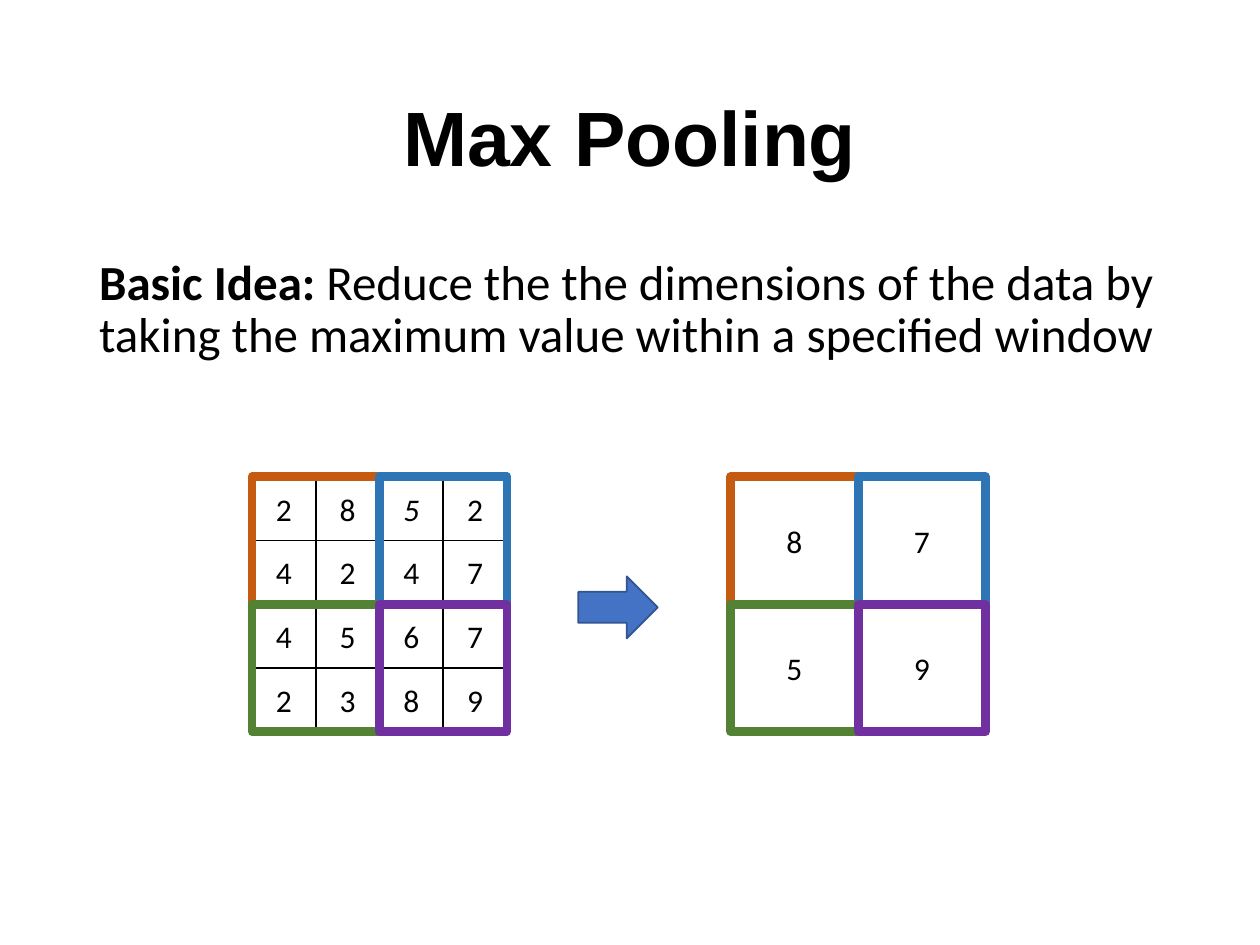
from dataclasses import dataclass

from pptx import Presentation
from pptx.dml.color import RGBColor
from pptx.enum.shapes import MSO_SHAPE as Preset
from pptx.enum.text import MSO_ANCHOR as Anchor, PP_ALIGN as Align
from pptx.util import Cm, Pt


@dataclass(frozen=True)
class Theme:
    """Colours, fonts, type sizes and line widths of the slide."""
    ink: str = "000000"
    arrow_fill: str = "4472C4"
    arrow_line: str = "325491"
    windows: tuple = ("C55A11", "2E75B6", "548235", "7030A0")
    title_font: str = "Arial"
    body_font: str = "Calibri"
    title_size: int = 44
    body_size: int = 28
    cell_size: int = 18
    thin: int = 1
    thick: int = 5


THEME = Theme()


def format_run(run, font, size, bold=False, italic=False):
    """Give a run its typeface, size, weight and colour."""
    run.font.name = font
    run.font.size = Pt(size)
    run.font.bold = bold
    run.font.italic = italic
    run.font.color.rgb = RGBColor.from_string(THEME.ink)


def add_outline(shapes, preset, box, line, width, fill=None):
    """Add a preset shape in box (cm), unfilled unless a fill is given."""
    shape = shapes.add_shape(preset, *map(Cm, box))
    shape.shadow.inherit = False
    if fill:
        shape.fill.solid()
        shape.fill.fore_color.rgb = RGBColor.from_string(fill)
    else:
        shape.fill.background()
    shape.line.color.rgb = RGBColor.from_string(line)
    shape.line.width = Pt(width)
    return shape


def add_text(slide, box, parts, font, size, anchor, align, before=0):
    """Add one paragraph made of (text, bold) parts."""
    frame = slide.shapes.add_textbox(*map(Cm, box)).text_frame
    frame.word_wrap = True
    frame.vertical_anchor = anchor
    paragraph = frame.paragraphs[0]
    paragraph.alignment = align
    paragraph.line_spacing = 0.9
    paragraph.space_before = Pt(before)
    for text, bold in parts:
        run = paragraph.add_run()
        run.text = text
        format_run(run, font, size, bold)


def grid_boxes(box, count):
    """Yield row, column and box for a count by count grid."""
    left, top, width, height = box
    cell_width, cell_height = width / count, height / count
    for row in range(count):
        for column in range(count):
            yield row, column, (left + column * cell_width,
                                top + row * cell_height,
                                cell_width, cell_height)


def add_matrix(slide, box, values, italic_cell=None):
    """Draw a square matrix of numbers and its four coloured windows."""
    cells = slide.shapes.add_group_shape().shapes
    for row, column, cell_box in grid_boxes(box, len(values)):
        cell = add_outline(cells, Preset.RECTANGLE, cell_box, THEME.ink, THEME.thin)
        frame = cell.text_frame
        frame.text = str(values[row][column])
        frame.vertical_anchor = Anchor.MIDDLE
        paragraph = frame.paragraphs[0]
        paragraph.alignment = Align.CENTER
        format_run(paragraph.runs[0], THEME.body_font, THEME.cell_size,
                   italic=(row, column) == italic_cell)
    for colour, (_, _, window_box) in zip(THEME.windows, grid_boxes(box, 2)):
        add_outline(slide.shapes, Preset.RECTANGLE, window_box, colour, THEME.thick)


def add_pooling(slide, box):
    """Place the input matrix, the arrow and the pooled maxima in box."""
    left, top, width, side = box
    values = ((2, 8, 5, 2), (4, 2, 4, 7), (4, 5, 6, 7), (2, 3, 8, 9))
    maxima = [[max(values[row + i][column + j] for i in (0, 1) for j in (0, 1))
               for column in (0, 2)] for row in (0, 2)]
    add_matrix(slide, (left, top, side, side), values, italic_cell=(0, 2))
    add_matrix(slide, (left + width - side, top, side, side), maxima)
    add_outline(slide.shapes, Preset.RIGHT_ARROW,
                (left + 6.58, top + 2.01, 1.6, 1.25),
                THEME.arrow_line, THEME.thin, THEME.arrow_fill)


def build():
    """Build and save the slide."""
    presentation = Presentation()
    presentation.slide_width, presentation.slide_height = Cm(25.4), Cm(19.05)
    slide = presentation.slides.add_slide(presentation.slide_layouts[6])
    add_text(slide, (1.75, 1.01, 21.9, 3.68), [("Max Pooling", True)],
             THEME.title_font, THEME.title_size, Anchor.MIDDLE, Align.CENTER)
    add_text(slide, (1.75, 5.07, 21.9, 12.09),
             [("Basic Idea: ", True),
              ("Reduce the the dimensions of the data by taking the maximum "
               "value within a specified window", False)],
             THEME.body_font, THEME.body_size, Anchor.TOP, Align.LEFT, before=10)
    add_pooling(slide, (5.08, 9.61, 14.79, 5.14))
    presentation.save("out.pptx")


build()
